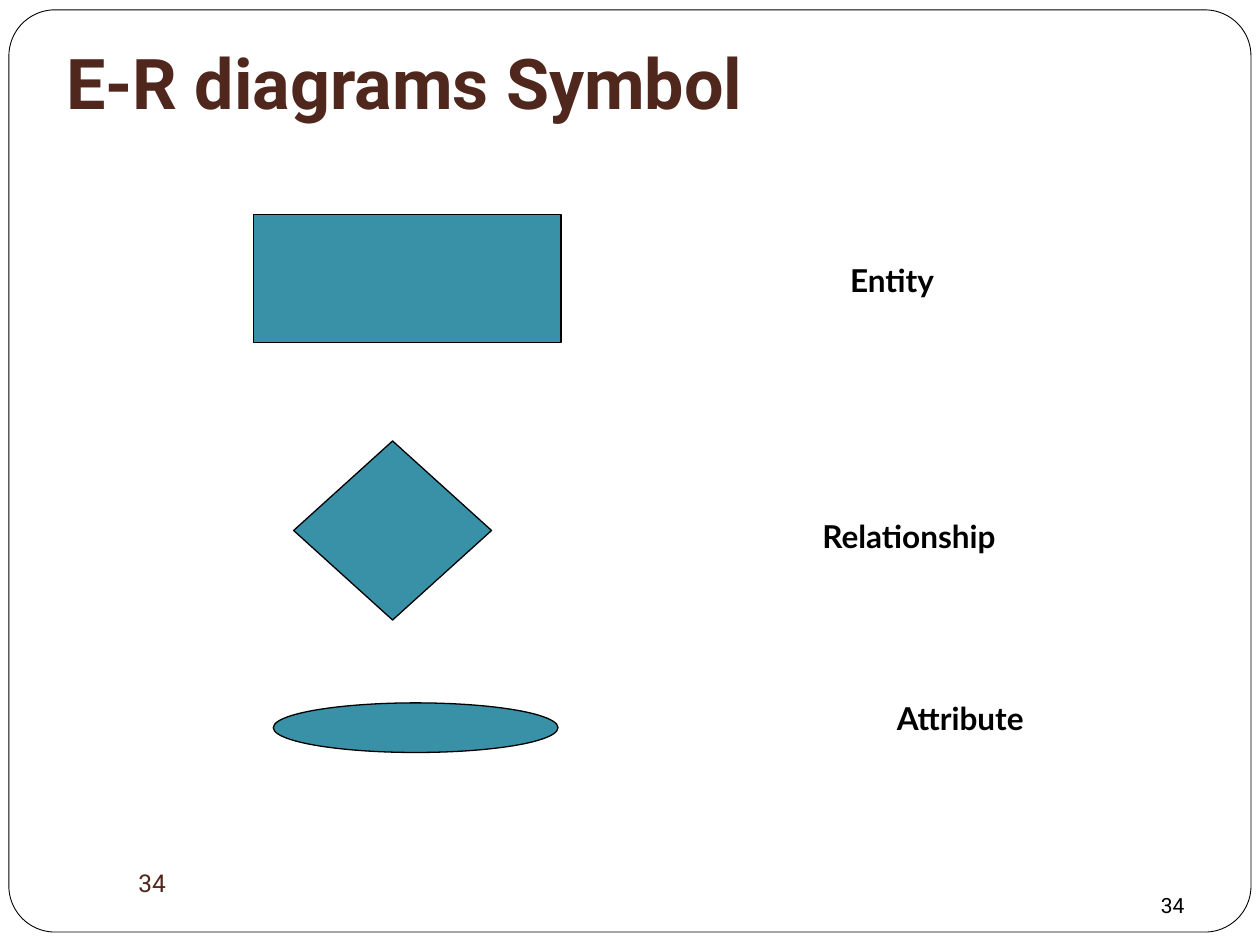
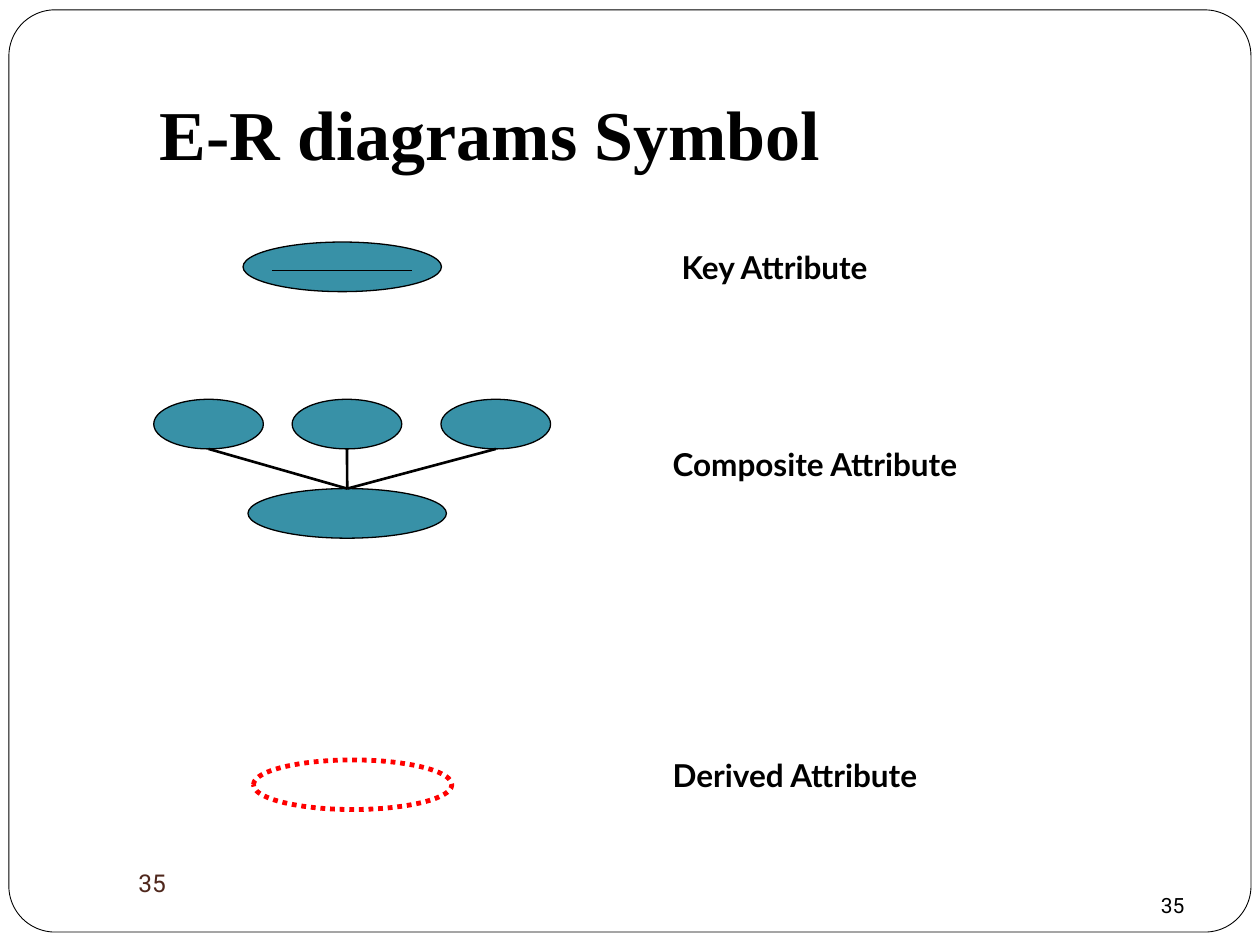
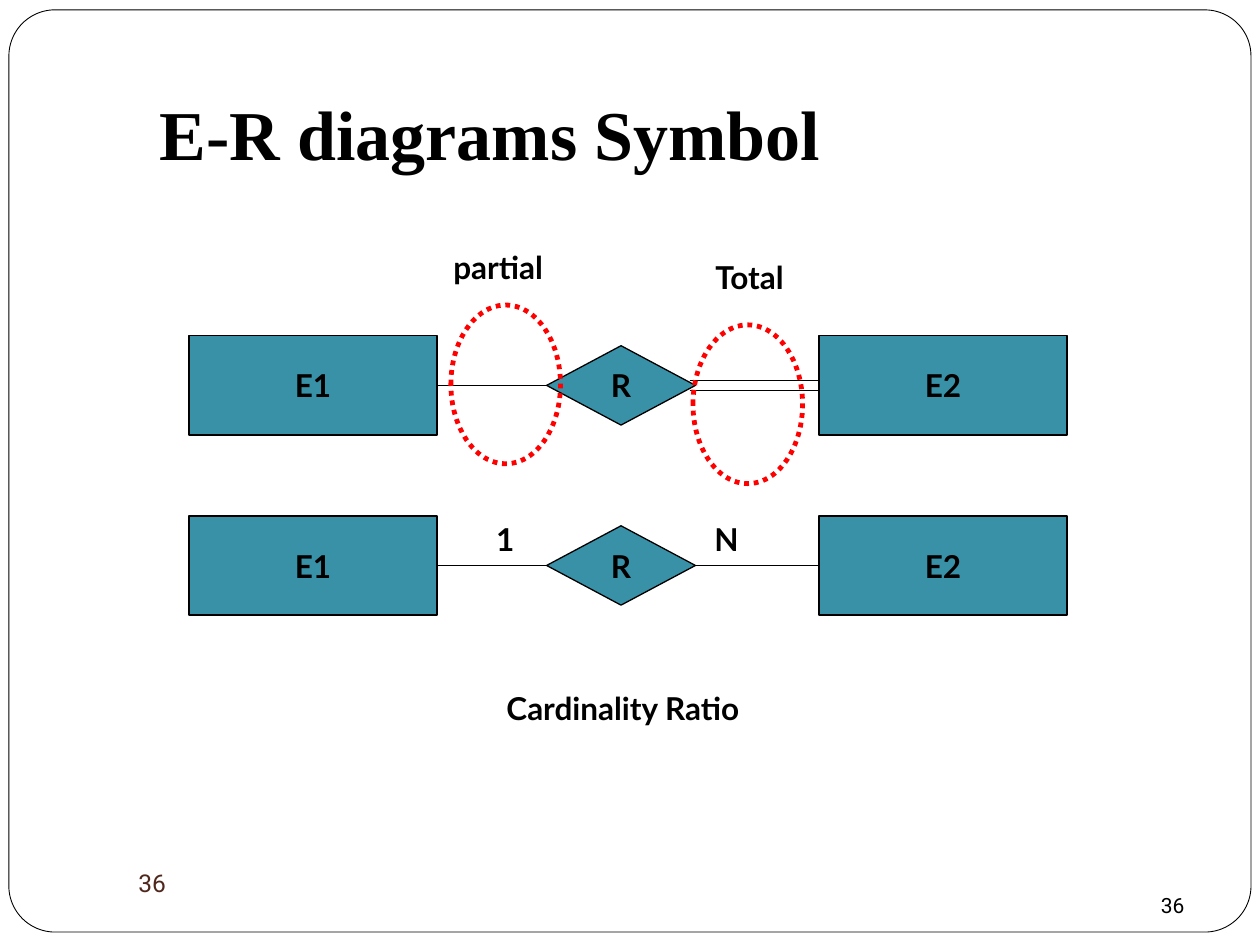
import pptx
import pptx.dml.color
import pptx.enum.dml
import pptx.enum.shapes
import pptx.enum.text
import pptx.oxml.xmlchemy
import pptx.util
from pptx.util import Cm

BLACK = pptx.dml.color.RGBColor(0x00, 0x00, 0x00)
WHITE = pptx.dml.color.RGBColor(0xFF, 0xFF, 0xFF)
TEAL = pptx.dml.color.RGBColor(0x38, 0x91, 0xA7)
BROWN = pptx.dml.color.RGBColor(0x4F, 0x27, 0x1C)
RED = pptx.dml.color.RGBColor(0xFF, 0x00, 0x00)

SHAPES = pptx.enum.shapes.MSO_SHAPE
ANCHOR = pptx.enum.text.MSO_ANCHOR
ALIGN = pptx.enum.text.PP_ALIGN
FIT = pptx.enum.text.MSO_AUTO_SIZE.SHAPE_TO_FIT_TEXT

TITLE = "E-R diagrams Symbol"
LABEL_FONT = {"name": "Lato", "size": pptx.util.Pt(18), "bold": True}
ATTRIBUTE_HEIGHT = 1
LEFT, RIGHT = 1, 3  # connection sites


class Deck:
    """Holds the shared style and the slide being drawn."""

    def __init__(self):
        self.presentation = pptx.Presentation()
        self.presentation.slide_width = Cm(25.4)
        self.presentation.slide_height = Cm(19.05)
        self.slide = None

    def new_slide(self, number):
        """Start a slide with its rounded frame and both slide numbers."""
        self.slide = self.presentation.slides.add_slide(
            self.presentation.slide_layouts[6])
        frame = self.shape(SHAPES.ROUNDED_RECTANGLE, 0.18, 0.2, 25.04, 18.59,
                           fill=WHITE, line_width=0.5)
        frame.adjustments[0] = 0.05
        self.text(number, 2.54, 17.15, 11, 1.27,
                  {"name": "Roboto", "size": pptx.util.Pt(14)}, BROWN,
                  {"vertical_anchor": ANCHOR.MIDDLE})
        self.text(number, 18.21, 17.35, 5.92, 1.27,
                  {"name": "Roboto", "size": pptx.util.Pt(12)}, BLACK,
                  {"vertical_anchor": ANCHOR.BOTTOM}, ALIGN.RIGHT)

    def fill_text(self, shape, text, font, color, frame_format, align):
        """Put one formatted paragraph into a shape."""
        frame = shape.text_frame
        for name, value in frame_format.items():
            setattr(frame, name, value)
        paragraph = frame.paragraphs[0]
        paragraph.alignment = align
        run = paragraph.add_run()
        run.text = text
        for name, value in font.items():
            setattr(run.font, name, value)
        run.font.color.rgb = color

    def text(self, text, left, top, width, height, font, color=BLACK,
             frame_format=None, align=ALIGN.LEFT):
        box = self.slide.shapes.add_textbox(
            Cm(left), Cm(top), Cm(width), Cm(height))
        self.fill_text(box, text, font, color,
                       {"word_wrap": True, **(frame_format or {})}, align)

    def title(self, font_name, color, left, top, width, height, frame_format):
        font = {"name": font_name, "size": pptx.util.Pt(40), "bold": True}
        self.text(TITLE, left, top, width, height, font, color, frame_format)

    def serif_title(self):
        self.title("Times New Roman", BLACK, 2.97, 1.7, 16.08, 1.96,
                   {"auto_size": FIT})

    def label(self, text, left, top, width):
        self.text(text, left, top, width, 1.02, LABEL_FONT,
                  frame_format={"word_wrap": False, "auto_size": FIT})

    def shape(self, kind, left, top, width, height, text=None, fill=TEAL,
              line=BLACK, line_width=0.75):
        shape = self.slide.shapes.add_shape(
            kind, Cm(left), Cm(top), Cm(width), Cm(height))
        shape.shadow.inherit = False
        if fill is None:
            shape.fill.background()
        else:
            shape.fill.solid()
            shape.fill.fore_color.rgb = fill
        shape.line.color.rgb = line
        shape.line.width = pptx.util.Pt(line_width)
        if text:
            self.fill_text(
                shape, text, LABEL_FONT, BLACK,
                {"word_wrap": False, "vertical_anchor": ANCHOR.MIDDLE},
                ALIGN.CENTER)
        return shape

    def attribute(self, left, top, width):
        self.shape(SHAPES.OVAL, left, top, width, ATTRIBUTE_HEIGHT)

    def dotted_oval(self, left, top, width, height):
        oval = self.shape(SHAPES.OVAL, left, top, width, height,
                          fill=None, line=RED, line_width=2.75)
        oval.line.dash_style = pptx.enum.dml.MSO_LINE.ROUND_DOT

    def line(self, start_x, start_y, end_x, end_y, line_width=0.75):
        connector = self.slide.shapes.add_connector(
            pptx.enum.shapes.MSO_CONNECTOR.STRAIGHT,
            Cm(start_x), Cm(start_y), Cm(end_x), Cm(end_y))
        connector.line.color.rgb = BLACK
        connector.line.width = pptx.util.Pt(line_width)
        properties = connector._element.spPr
        properties.append(pptx.oxml.xmlchemy.OxmlElement("a:effectLst"))
        return connector

    def join(self, first, first_side, second, second_side):
        connector = self.line(0, 0, 1, 1)
        connector.begin_connect(first, first_side)
        connector.end_connect(second, second_side)


def basic_symbols(deck):
    deck.new_slide("34")
    deck.title("Roboto", BROWN, 1.09, 0.91, 22.91, 1.83,
               {"vertical_anchor": ANCHOR.BOTTOM, "margin_bottom": Cm(0.25)})
    deck.shape(SHAPES.RECTANGLE, 5.11, 4.32, 6.2, 2.59)
    deck.label("Entity", 16.89, 5.13, 2.39)
    deck.shape(SHAPES.DIAMOND, 5.92, 8.89, 3.99, 3.61)
    deck.label("Relationship", 16.33, 10.29, 4.5)
    deck.attribute(5.51, 14.17, 5.74)
    deck.label("Attribute", 17.83, 13.97, 3.4)


def attribute_symbols(deck):
    deck.new_slide("35")
    wide, narrow = 4, 2.21

    # Key attribute, underlined
    deck.attribute(4.9, 4.88, wide)
    deck.line(5.49, 5.46, 8.31, 5.46)
    deck.label("Key Attribute", 13.49, 4.88, 4.78)

    # Composite attribute with its three components
    component_top, whole_left, whole_top = 8.05, 5, 9.85
    component_lefts = (3.1, 5.89, 8.89)
    for left in component_lefts:
        deck.attribute(left, component_top, narrow)
    deck.attribute(whole_left, whole_top, wide)
    for left in component_lefts:
        deck.line(left + narrow / 2, component_top + ATTRIBUTE_HEIGHT,
                  whole_left + wide / 2, whole_top, 1.5)
    deck.label("Composite Attribute", 13.31, 8.84, 6.96)

    # Derived attribute
    deck.dotted_oval(5.11, 15.32, wide, ATTRIBUTE_HEIGHT)
    deck.label("Derived Attribute", 13.31, 15.11, 6.05)
    deck.serif_title()


def relationship_row(deck, middle):
    """Draw E1, E2 and R around a middle height; return R and E2."""
    entity_height, relation_height = 2, 1.6
    first, second = [
        deck.shape(SHAPES.RECTANGLE, left, middle - entity_height / 2,
                   5, entity_height, name)
        for name, left in (("E1", 3.81), ("E2", 16.51))]
    relation = deck.shape(SHAPES.DIAMOND, 11.02, middle - relation_height / 2,
                          3, relation_height, "R")
    deck.join(relation, LEFT, first, RIGHT)
    return relation, second


def relationship_symbols(deck):
    deck.new_slide("36")

    # Partial and total participation
    middle = 7.77
    relationship_row(deck, middle)
    for offset in (-0.1, 0.1):
        deck.line(13.9, middle + offset, 16.51, middle + offset)

    # Cardinality ratio
    relation, second = relationship_row(deck, 11.4)
    deck.join(relation, RIGHT, second, LEFT)
    deck.label("1", 9.75, 10.36, 0.91)
    deck.label("N", 14.15, 10.36, 0.99)

    # Participation marks and captions
    for left, top in ((9.09, 6.15), (13.97, 6.55)):
        deck.dotted_oval(left, top, 2.21, 3.2)
    deck.label("partial", 8.89, 4.88, 2.59)
    deck.label("Total", 14.17, 5.08, 2.13)
    deck.label("Cardinality Ratio", 9.96, 13.77, 5.84)
    deck.serif_title()


def main():
    deck = Deck()
    basic_symbols(deck)
    attribute_symbols(deck)
    relationship_symbols(deck)
    deck.presentation.save("out.pptx")


if __name__ == "__main__":
    main()
